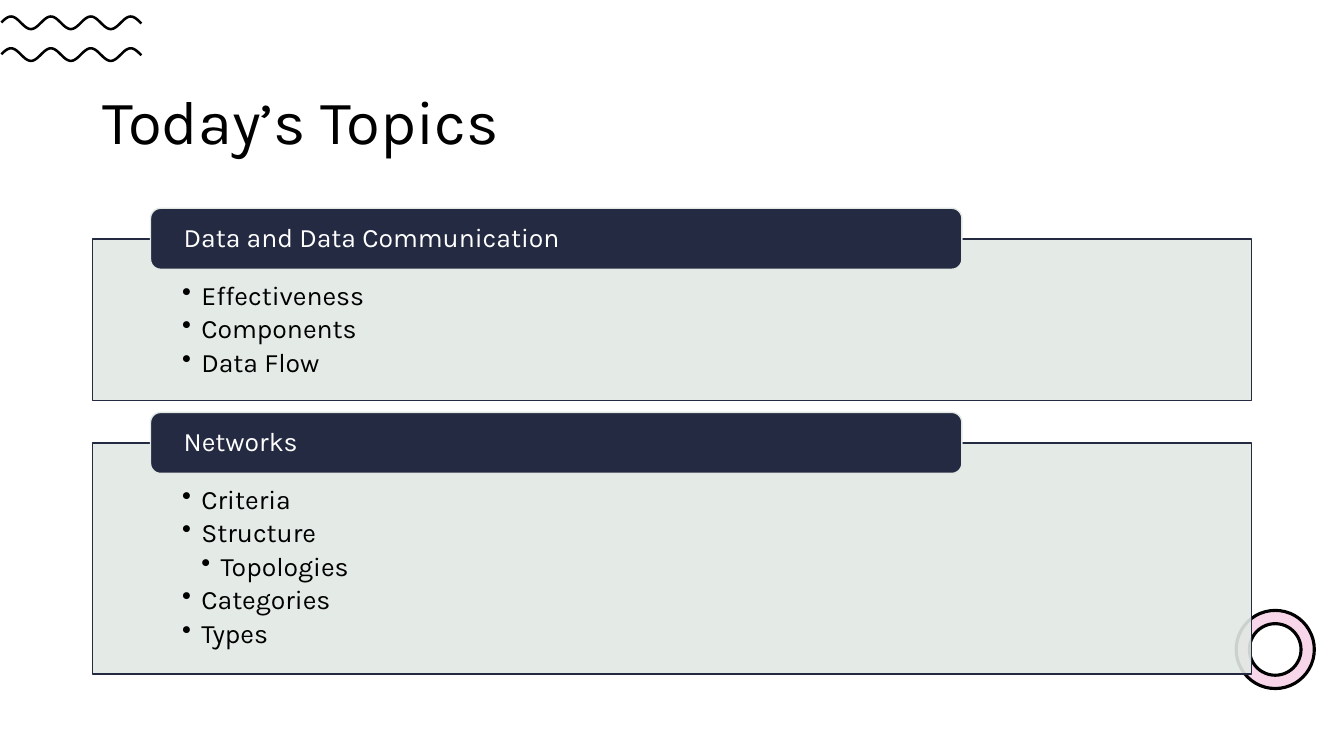
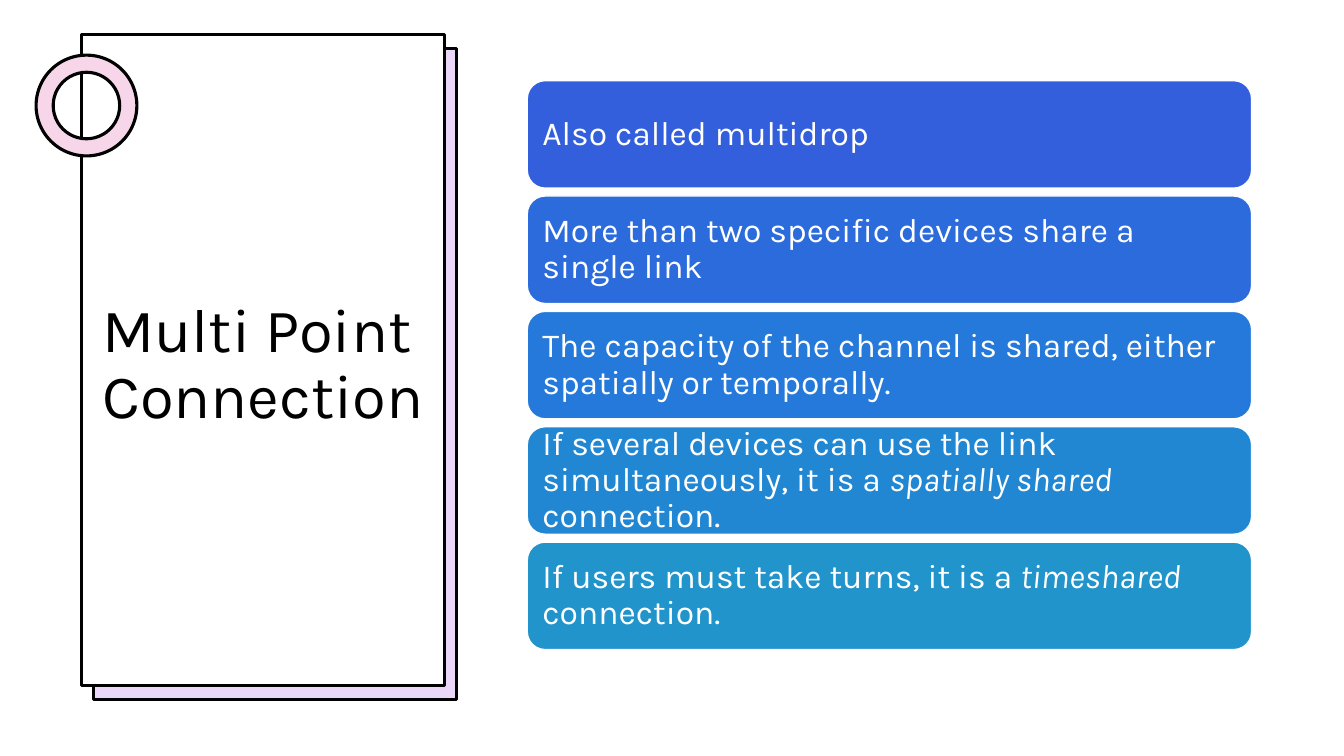
import math
from pptx import Presentation
from pptx.dml.color import RGBColor
from pptx.enum import shapes, text
from pptx.oxml import ns, xmlchemy
from pptx.util import Pt

BLACK = RGBColor(0x00, 0x00, 0x00)
WHITE = RGBColor(0xFF, 0xFF, 0xFF)
NAVY = RGBColor(0x24, 0x2A, 0x41)
SAGE = RGBColor(0xE2, 0xE8, 0xE4)
PINK = RGBColor(0xF8, 0xD6, 0xEA)
LILAC = RGBColor(0xEA, 0xD6, 0xF8)
BLUES = [RGBColor(0x33, 0x5F, 0xDD), RGBColor(0x2B, 0x6B, 0xDC),
         RGBColor(0x24, 0x79, 0xDA), RGBColor(0x22, 0x87, 0xD3),
         RGBColor(0x21, 0x94, 0xCB)]
FONT = "Karla"
TITLE_SIZE = 44
OUTLINE = 2.25
RING_THICKNESS = 0.17
LEFT, RIGHT = 66, 894

KIND = shapes.MSO_SHAPE
MIDDLE = text.MSO_ANCHOR.MIDDLE
TOP = text.MSO_ANCHOR.TOP


def add_box(s, kind, x, y, w, h, fill, line, weight):
    """Add a preset shape with a flat fill and an outline."""
    sp = s.shapes.add_shape(kind, Pt(x), Pt(y), Pt(w), Pt(h))
    sp.shadow.inherit = False
    sp.fill.solid()
    sp.fill.fore_color.rgb = fill
    sp.line.color.rgb = line
    sp.line.width = Pt(weight)
    if kind == KIND.DONUT:
        sp.adjustments[0] = RING_THICKNESS
    return sp


def write(sp, paragraphs, size, color, margins=(7.2, 3.6, 7.2, 3.6), anchor=MIDDLE):
    """Fill a shape with paragraphs, each a list of (text, italic) runs."""
    tf = sp.text_frame
    tf.word_wrap = True
    tf.vertical_anchor = anchor
    tf.margin_left, tf.margin_top, tf.margin_right, tf.margin_bottom = map(Pt, margins)
    for i, runs in enumerate(paragraphs):
        p = tf.add_paragraph() if i else tf.paragraphs[0]
        p.alignment = text.PP_ALIGN.LEFT
        p.line_spacing = 0.9
        for words, italic in runs:
            r = p.add_run()
            r.text = words
            r.font.name = FONT
            r.font.size = Pt(size)
            r.font.color.rgb = color
            r.font.italic = italic
    return tf


prs = Presentation()
prs.slide_width, prs.slide_height = Pt(960), Pt(540)
blank = prs.slide_layouts[6]

# Slide 1: topics
s = prs.slides.add_slide(blank)
sp = s.shapes.add_textbox(Pt(LEFT), Pt(44.6), Pt(RIGHT - LEFT), Pt(88.6))
write(sp, [[("Today’s Topics", False)]], TITLE_SIZE, BLACK)

# Wavy lines
PERIOD, AMPLITUDE, CREST = 28.5, 4.5, 7.9
for mid in (39, 16.3):
    points = [(Pt(x), Pt(mid - AMPLITUDE * math.cos(2 * math.pi * (x - CREST) / PERIOD)))
              for x in range(1, 102)]
    wave = s.shapes.build_freeform(*points[0], scale=1.0)
    wave.add_line_segments(points[1:], close=False)
    sp = wave.convert_to_shape()
    sp.shadow.inherit = False
    sp.fill.background()
    sp.line.color.rgb = BLACK
    sp.line.width = Pt(1.8)

add_box(s, KIND.DONUT, 883, 436, 55.8, 55.8, PINK, BLACK, OUTLINE)

# Topic panels: top, height, heading, (item, level)
topics = [
    (170.6, 115.4, "Data and Data Communication",
     [("Effectiveness", 1), ("Components", 1), ("Data Flow", 1)]),
    (316.4, 165, "Networks",
     [("Criteria", 1), ("Structure", 1), ("Topologies", 2), ("Categories", 1), ("Types", 1)]),
]
INDENT = 13.7
for top, height, heading, items in topics:
    sp = add_box(s, KIND.RECTANGLE, LEFT, top, RIGHT - LEFT, height, SAGE, NAVY, 1)
    clr = sp.fill._xPr.find(".//" + ns.qn("a:srgbClr"))
    xmlchemy.OxmlElement("a:alpha")
    alpha = xmlchemy.OxmlElement("a:alpha")
    alpha.set("val", "90000")
    clr.append(alpha)
    tf = write(sp, [[(item, False)] for item, level in items], 19, BLACK,
               (64.2, 31, 64.2, 10.8), TOP)
    for p, (item, level) in zip(tf.paragraphs, items):
        p.space_after = Pt(3.4)
        pPr = p._p.get_or_add_pPr()
        pPr.set("marL", str(Pt(INDENT * level)))
        pPr.set("indent", str(-Pt(INDENT)))
        bullet = xmlchemy.OxmlElement("a:buChar")
        bullet.set("char", "•")
        pPr.append(bullet)
    sp = add_box(s, KIND.ROUNDED_RECTANGLE, 107.5, top - 21.8, 579.6, 43.6, NAVY, SAGE, 1)
    write(sp, [[(heading, False)]], 19, WHITE, (21.6, 0, 21.6, 0))

# Slide 2: multi point connection
s = prs.slides.add_slide(blank)
add_box(s, KIND.RECTANGLE, 67, 34.6, 259.2, 465, LILAC, BLACK, OUTLINE)
add_box(s, KIND.RECTANGLE, 58.5, 24.5, 259.2, 465, WHITE, BLACK, OUTLINE)
add_box(s, KIND.DONUT, 25.8, 39.4, 72, 72, PINK, BLACK, OUTLINE)
sp = s.shapes.add_textbox(Pt(LEFT), Pt(94.3), Pt(245), Pt(333.4))
write(sp, [[("Multi Point Connection", False)]], TITLE_SIZE, BLACK)

# Statement bars
statements = [
    [("Also called multidrop", False)],
    [("More than two specific devices share a single link", False)],
    [("The capacity of the channel is shared, either spatially or temporally.", False)],
    [("If several devices can use the link simultaneously, it is a ", False),
     ("spatially shared ", True), ("connection.", False)],
    [("If users must take turns, it is a ", False),
     ("timeshared ", True), ("connection.", False)],
]
BAR_LEFT, BAR_TOP, BAR_HEIGHT, BAR_GAP = 376.6, 57.6, 76.8, 5.6
for i, (runs, blue) in enumerate(zip(statements, BLUES)):
    sp = add_box(s, KIND.ROUNDED_RECTANGLE, BAR_LEFT, BAR_TOP + i * (BAR_HEIGHT + BAR_GAP),
                 RIGHT - BAR_LEFT, BAR_HEIGHT, blue, WHITE, 1)
    write(sp, [runs], 24, WHITE, (7.2, 7.2, 7.2, 7.2))

prs.save("out.pptx")
